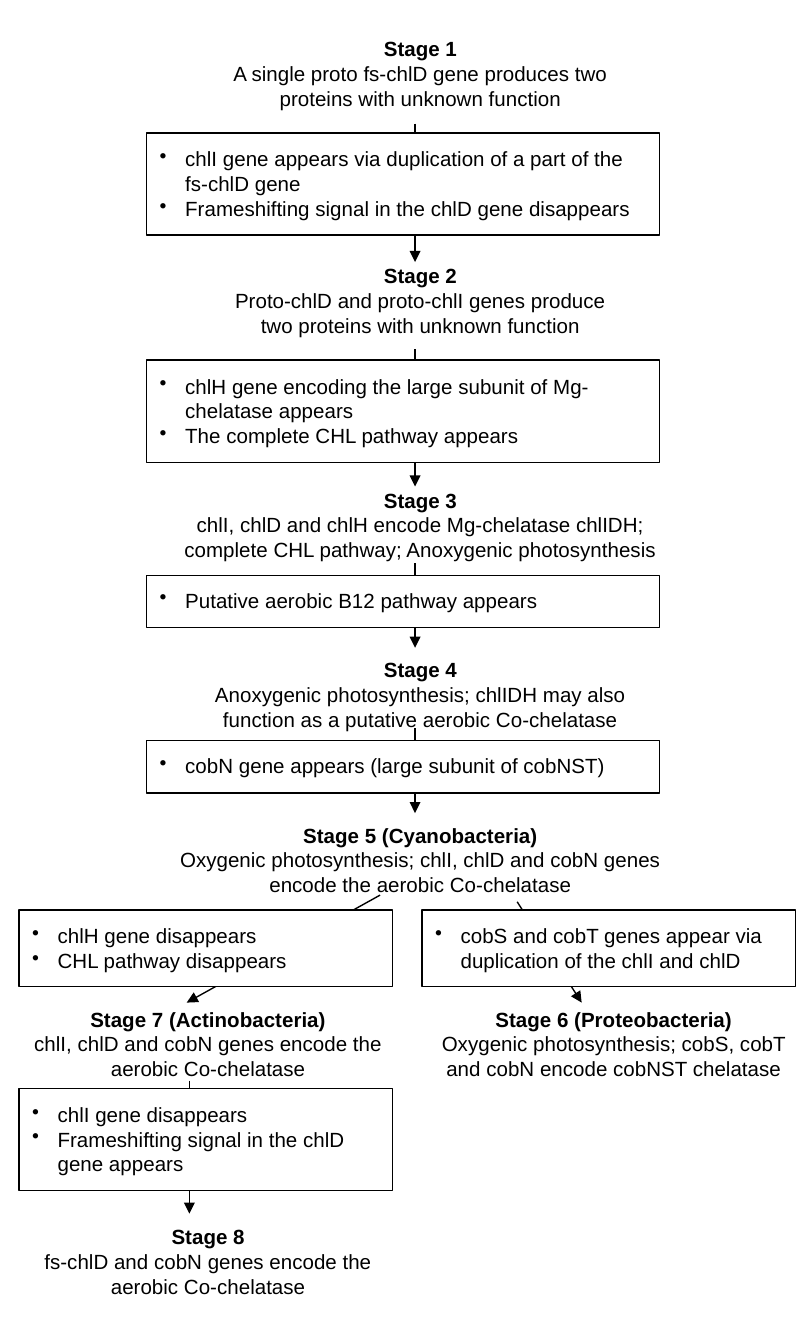
from lxml import etree
from pptx import Presentation
from pptx.dml.color import RGBColor
from pptx.enum.shapes import MSO_CONNECTOR, MSO_SHAPE
from pptx.enum.text import MSO_ANCHOR, MSO_AUTO_SIZE, PP_ALIGN
from pptx.oxml.ns import qn
from pptx.util import Inches, Pt

BLACK = RGBColor(0x00, 0x00, 0x00)
WHITE = RGBColor(0xFF, 0xFF, 0xFF)

STAGE_HEIGHT = 0.76
MAIN_X = 3.09
LEFT_X = 1.41
MAIN_BOX = (1.09, 3.82)
LEFT_BOX = (0.14, 2.78)
RIGHT_BOX = (3.14, 2.78)
NARROW_STAGE = (1.57, 3.12)
WIDE_STAGE = (1.22, 3.82)
LEFT_STAGE = (0.12, 2.86)
RIGHT_STAGE = (3.14, 2.86)

# Start and end points
ARROWS = [
    ((MAIN_X, 0.92), (MAIN_X, 1.95)),
    ((MAIN_X, 2.6), (MAIN_X, 3.62)),
    ((MAIN_X, 4.19), (MAIN_X, 4.82)),
    ((MAIN_X, 5.42), (MAIN_X, 6.05)),
    ((3.85, 6.71), (4.33, 7.46)),
    ((2.83, 6.66), (1.39, 7.46)),
    ((LEFT_X, 8.04), (LEFT_X, 9.03)),
]

# Column, top, title, description
STAGES = [
    (NARROW_STAGE, 0.17, "Stage 1",
     "A single proto fs-chlD gene produces two proteins with unknown function"),
    (NARROW_STAGE, 1.86, "Stage 2",
     "Proto-chlD and proto-chlI genes produce two proteins with unknown function"),
    (WIDE_STAGE, 3.53, "Stage 3",
     "chlI, chlD and chlH encode Mg-chelatase chlIDH; "
     "complete CHL pathway; Anoxygenic photosynthesis"),
    (WIDE_STAGE, 4.79, "Stage 4",
     "Anoxygenic photosynthesis; chlIDH may also "
     "function as a putative aerobic Co-chelatase"),
    (WIDE_STAGE, 6.02, "Stage 5 (Cyanobacteria)",
     "Oxygenic photosynthesis; chlI, chlD and cobN genes "
     "encode the aerobic Co-chelatase"),
    (RIGHT_STAGE, 7.39, "Stage 6 (Proteobacteria)",
     "Oxygenic photosynthesis; cobS, cobT and cobN encode cobNST chelatase"),
    (LEFT_STAGE, 7.39, "Stage 7 (Actinobacteria)",
     "chlI, chlD and cobN genes encode the aerobic Co-chelatase"),
    (LEFT_STAGE, 9.01, "Stage 8",
     "fs-chlD and cobN genes encode the aerobic Co-chelatase"),
]

# Column, top, height, events
CHANGES = [
    (MAIN_BOX, 0.99, 0.76,
     ["chlI gene appears via duplication of a part of the fs-chlD gene",
      "Frameshifting signal in the chlD gene disappears"]),
    (MAIN_BOX, 2.68, 0.76,
     ["chlH gene encoding the large subunit of Mg-chelatase appears",
      "The complete CHL pathway appears"]),
    (MAIN_BOX, 4.28, 0.39, ["Putative aerobic B12 pathway appears"]),
    (MAIN_BOX, 5.51, 0.39, ["cobN gene appears (large subunit of cobNST)"]),
    (RIGHT_BOX, 6.77, 0.57,
     ["cobS and cobT genes appear via duplication of the chlI and chlD"]),
    (LEFT_BOX, 6.77, 0.57,
     ["chlH gene disappears", "CHL pathway disappears"]),
    (LEFT_BOX, 8.1, 0.76,
     ["chlI gene disappears", "Frameshifting signal in the chlD gene appears"]),
]


def write(paragraph, text, *, font="Arial", size=11, color=BLACK, bold=False,
          align=PP_ALIGN.LEFT, bullet=False):
    """Put formatted text into a paragraph."""
    paragraph.alignment = align
    run = paragraph.add_run()
    run.text = text
    run.font.name = font
    run.font.size = Pt(size)
    run.font.bold = bold
    run.font.color.rgb = color
    if bullet:
        properties = paragraph._p.get_or_add_pPr()
        properties.set("marL", str(Inches(0.19)))
        properties.set("indent", str(Inches(-0.19)))
        etree.SubElement(properties, qn("a:buChar")).set("char", "•")


class FlowSlide:
    """Holds the slide and the style of the flow chart."""

    line_width = Pt(0.75)
    inset = Inches(0.1)

    def __init__(self, slide):
        """Remember the slide to draw on."""
        self.slide = slide

    def style_line(self, line):
        """Make a line thin and black."""
        line.color.rgb = BLACK
        line.width = self.line_width

    def fill_frame(self, frame, paragraphs):
        """Set up a text frame and write (text, format) pairs into it."""
        frame.word_wrap = True
        frame.auto_size = MSO_AUTO_SIZE.SHAPE_TO_FIT_TEXT
        frame.vertical_anchor = MSO_ANCHOR.TOP
        frame.margin_left = frame.margin_right = self.inset
        frame.margin_top = frame.margin_bottom = self.inset
        for index, (text, style) in enumerate(paragraphs):
            paragraph = frame.add_paragraph() if index else frame.paragraphs[0]
            write(paragraph, text, **style)

    def arrow(self, start, end):
        """Draw an arrow between two points."""
        connector = self.slide.shapes.add_connector(
            MSO_CONNECTOR.STRAIGHT, *map(Inches, start + end))
        self.style_line(connector.line)
        line = connector.line._get_or_add_ln()
        etree.SubElement(line, qn("a:tailEnd")).set("type", "triangle")
        etree.SubElement(connector._element.spPr, qn("a:effectLst"))

    def stage(self, column, top, title, description):
        """Add a centred stage title with its description."""
        left, width = column
        shape = self.slide.shapes.add_textbox(
            *map(Inches, (left, top, width, STAGE_HEIGHT)))
        self.fill_frame(shape.text_frame, [
            (title, {"bold": True, "align": PP_ALIGN.CENTER}),
            (description, {"align": PP_ALIGN.CENTER}),
        ])

    def change(self, column, top, height, events):
        """Add a framed list of the events between two stages."""
        left, width = column
        shape = self.slide.shapes.add_shape(
            MSO_SHAPE.RECTANGLE, *map(Inches, (left, top, width, height)))
        shape.shadow.inherit = False
        shape.fill.solid()
        shape.fill.fore_color.rgb = WHITE
        self.style_line(shape.line)
        self.fill_frame(shape.text_frame,
                        [(event, {"bullet": True}) for event in events])


def main():
    """Build the flow chart and save it."""
    presentation = Presentation()
    presentation.slide_width = Inches(6)
    presentation.slide_height = Inches(10)
    flow = FlowSlide(presentation.slides.add_slide(presentation.slide_layouts[6]))
    for arrow in ARROWS:
        flow.arrow(*arrow)
    for change in CHANGES:
        flow.change(*change)
    for stage in STAGES:
        flow.stage(*stage)
    presentation.save("out.pptx")


main()
